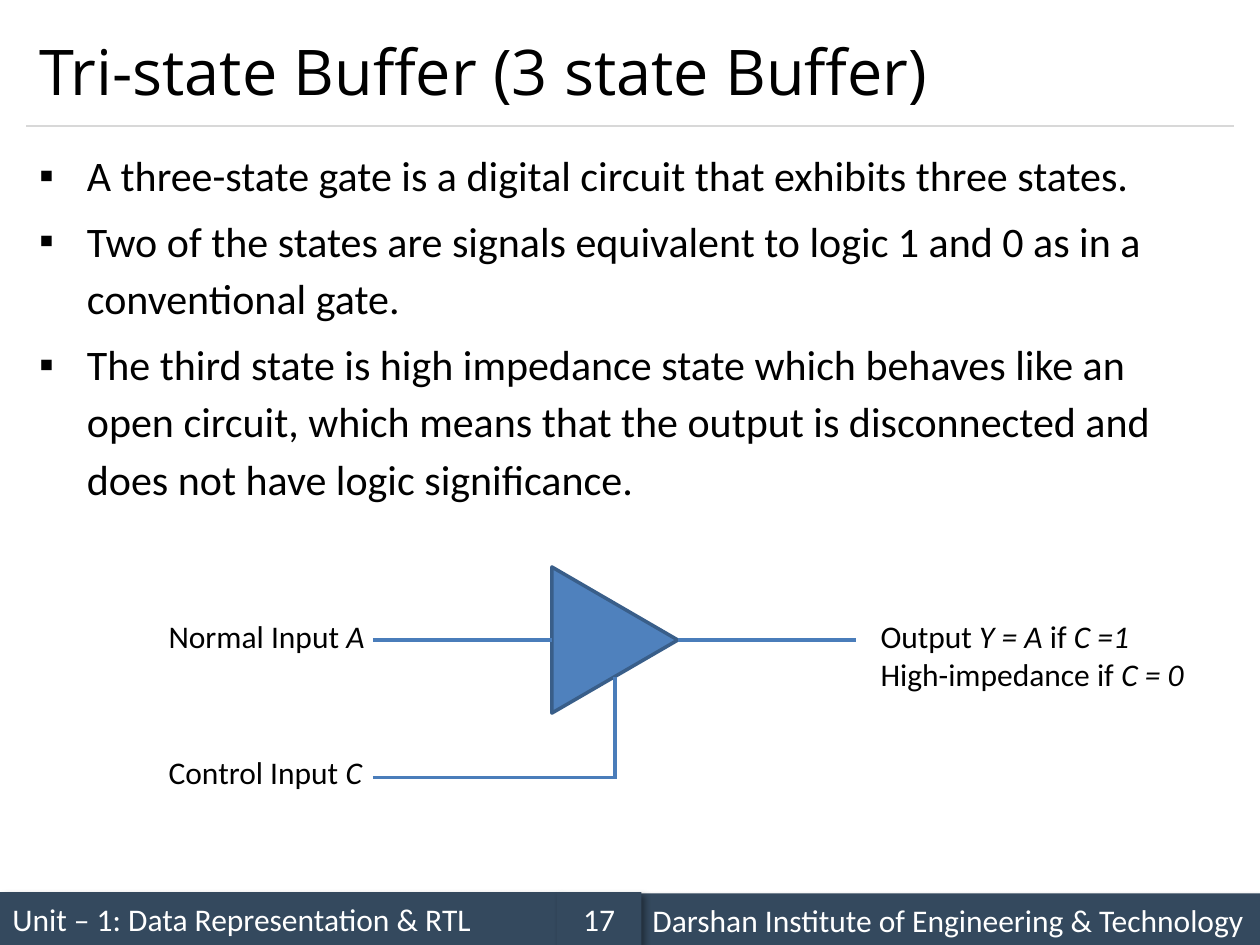
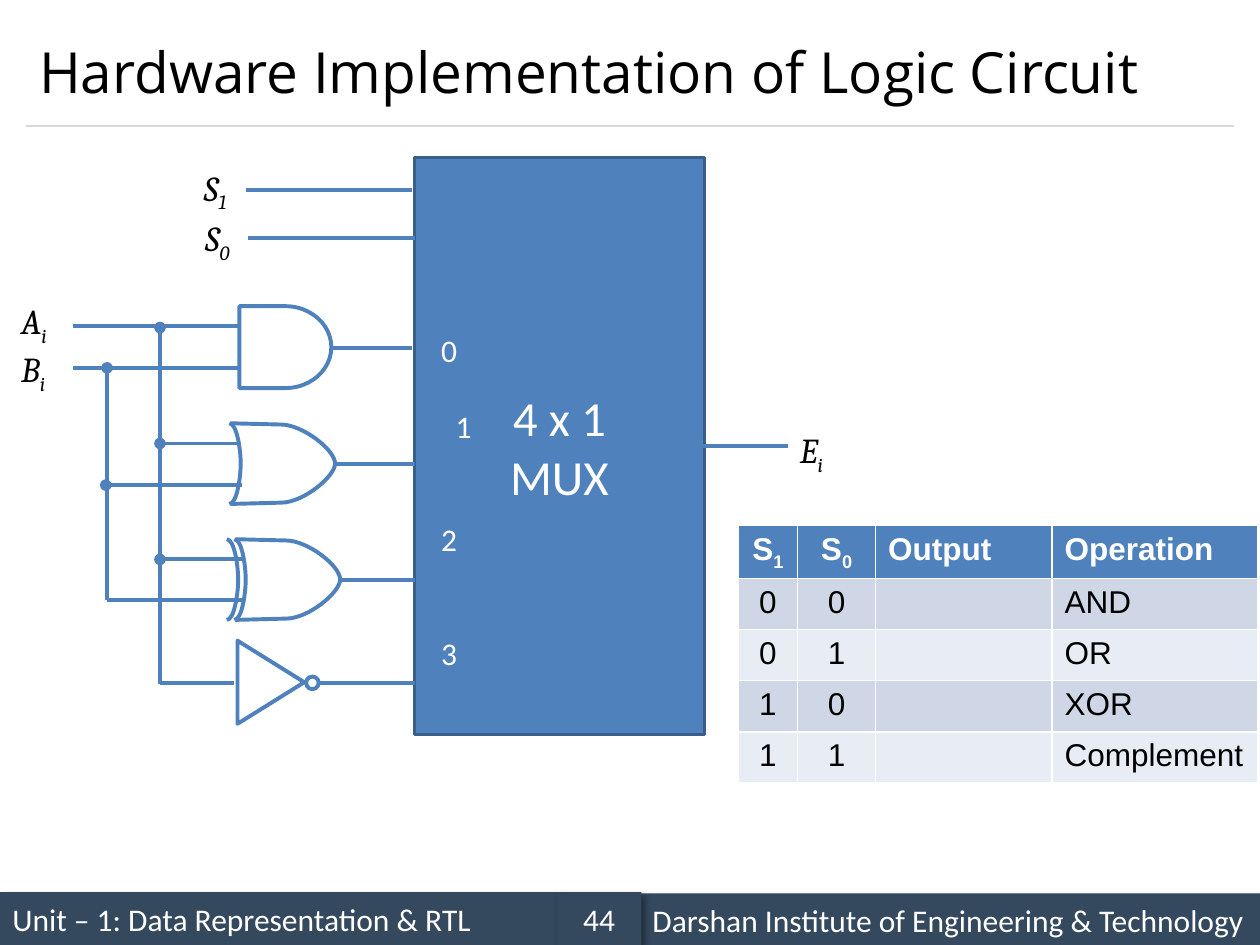
from dataclasses import dataclass

import pptx
import pptx.dml.color
import pptx.enum.shapes
import pptx.enum.text
import pptx.oxml
import pptx.oxml.ns
import pptx.util
from pptx.util import Inches

SHAPE = pptx.enum.shapes.MSO_SHAPE
ALIGN = pptx.enum.text.PP_ALIGN
ANCHOR = pptx.enum.text.MSO_ANCHOR
BLACK, WHITE, SLATE, RULE_GREY = "000000", "FFFFFF", "34495E", "D8D8D8"
BLUE, DARK_BLUE, WIRE_BLUE = "4F81BD", "395E89", "4A7DBA"
BANDS = ("E8ECF4", "CFD7E7")
GATE_WIDTH = 2.25


@dataclass(frozen=True)
class Run:
    text: str
    italic: bool = False
    subscript: bool = False


@dataclass(frozen=True)
class Font:
    name: str
    size: float
    color: str = BLACK
    bold: bool = False


@dataclass(frozen=True)
class Wire:
    """A line whose start may carry a junction dot."""
    start: tuple[float, float]
    end: tuple[float, float]
    dot: bool = False
    color: str = BLUE
    width: float = GATE_WIDTH


@dataclass(frozen=True)
class Label:
    box: tuple[float, float, float, float]
    lines: tuple[tuple[Run, ...], ...]


@dataclass(frozen=True)
class FooterPart:
    box: tuple[float, float, float, float]
    text: str
    align: ALIGN = ALIGN.LEFT


TEXT = Font("Calibri", 18)
LIGHT_TEXT = Font("Calibri", 18, WHITE)
SYMBOL = Font("Cambria", 20)


def rgb(color: str) -> pptx.dml.color.RGBColor:
    return pptx.dml.color.RGBColor.from_string(color)


def place(box: tuple[float, ...]) -> list[int]:
    return [Inches(value) for value in box]


def set_all(target, **values) -> None:
    for name, value in values.items():
        setattr(target, name, value)


def move(shape, box: tuple[float, ...]) -> None:
    set_all(shape, **dict(zip(("left", "top", "width", "height"), place(box))))


def sub(parent, tag: str, **attributes):
    """Append a DrawingML element to parent."""
    child = pptx.oxml.parse_xml(f"<a:{tag} {pptx.oxml.ns.nsdecls('a')}/>")
    for name, value in attributes.items():
        child.set(name, str(value))
    parent.append(child)
    return child


def write(paragraph, runs: tuple[Run, ...], font: Font, align=ALIGN.LEFT) -> None:
    paragraph.alignment = align
    for part in runs:
        run = paragraph.add_run()
        run.text = part.text
        set_all(run.font, name=font.name, size=pptx.util.Pt(font.size),
                bold=font.bold, italic=part.italic)
        run.font.color.rgb = rgb(font.color)
        if part.subscript:
            run.font._element.set("baseline", "-25000")


def write_lines(frame, lines, font: Font, align=ALIGN.LEFT, anchor=ANCHOR.TOP) -> None:
    set_all(frame, word_wrap=True, vertical_anchor=anchor,
            auto_size=pptx.enum.text.MSO_AUTO_SIZE.NONE)
    for index, runs in enumerate(lines):
        paragraph = frame.add_paragraph() if index else frame.paragraphs[0]
        write(paragraph, runs, font, align)


def style(shape, fill: str | None, line: str | None, width: float = 2) -> None:
    shape.shadow.inherit = False
    if fill:
        shape.fill.solid()
        shape.fill.fore_color.rgb = rgb(fill)
    else:
        shape.fill.background()
    if line:
        shape.line.color.rgb = rgb(line)
        shape.line.width = pptx.util.Pt(width)
    else:
        shape.line.fill.background()


def add_preset(slide, kind, box, fill=None, line=BLUE, width=GATE_WIDTH, rotation=0):
    shape = slide.shapes.add_shape(kind, *place(box))
    style(shape, fill, line, width)
    shape.rotation = rotation
    return shape


def add_wire(slide, wire: Wire):
    connector = slide.shapes.add_connector(
        pptx.enum.shapes.MSO_CONNECTOR.STRAIGHT, *place(wire.start + wire.end))
    connector.line.color.rgb = rgb(wire.color)
    connector.line.width = pptx.util.Pt(wire.width)
    if wire.dot:
        sub(connector.line._get_or_add_ln(), "headEnd", type="oval")
    sub(connector._element.spPr, "effectLst")
    return connector


def add_label(slide, label: Label, font: Font) -> None:
    frame = slide.shapes.add_textbox(*place(label.box)).text_frame
    frame.margin_right = 0
    write_lines(frame, label.lines, font)


# Each segment holds one point for a line, or two controls and an end for a curve.
GATE_BODY = (((0, 0),), ((.4, .01),), ((.57, .01), (.83, .21), (.83, .32)),
             ((.83, .42), (.58, .63), (.4, .63)), ((0, .64),))
GATE_BACK = (((0, .64),), ((.06, .64), (.09, .43), (.09, .32)),
             ((.09, .21), (.06, 0), (0, 0)))


def add_outline(slide, left: float, top: float, segments) -> None:
    """Draw an open outline, turning each three-point segment into a curve."""
    points = [place((left + x, top + y)) for segment in segments for x, y in segment]
    builder = slide.shapes.build_freeform(*points[0])
    builder.add_line_segments(points[1:], close=False)
    outline = builder.convert_to_shape()
    steps = iter(outline._element.findall(".//" + pptx.oxml.ns.qn("a:lnTo")))
    for segment in segments[1:]:
        lines = [next(steps) for _ in segment]
        if len(lines) == 3:
            curve = sub(lines[0].getparent(), "cubicBezTo")
            lines[0].addprevious(curve)
            for line in lines:
                curve.append(line[0])
                line.getparent().remove(line)
    style(outline, None, BLUE, GATE_WIDTH)


def add_or_gate(slide, left: float, top: float, exclusive: bool = False) -> None:
    add_outline(slide, left, top, GATE_BODY)
    for offset in (-.01, -.07)[:1 + exclusive]:
        add_outline(slide, left + offset, top, GATE_BACK)


def add_footer_part(slide, part: FooterPart):
    band = add_preset(slide, SHAPE.RECTANGLE, part.box, SLATE, None)
    effects = band._element.spPr.find(pptx.oxml.ns.qn("a:effectLst"))
    shadow = sub(effects, "outerShdw", blurRad=pptx.util.Pt(4), dist=pptx.util.Pt(3),
                 dir=45 * 60000, algn="tl", rotWithShape=0)
    sub(sub(shadow, "srgbClr", val=BLACK), "alpha", val=40000)
    write_lines(band.text_frame, [(Run(part.text),)], LIGHT_TEXT, part.align, ANCHOR.MIDDLE)
    return band


def furnish_master(deck, slide) -> None:
    """Build the shared rule and bands on a slide, then hand them to the master."""
    master = deck.slide_master
    move(master.placeholders[0], (.21, .12, 9.58, .88))
    for part in (
        add_footer_part(slide, FooterPart(
            (0, 7.08, 4.42, .42), "Unit – 1: Data Representation & RTL")),
        add_wire(slide, Wire((.21, 1), (9.79, 1), color=RULE_GREY, width=.75)),
        add_footer_part(slide, FooterPart(
            (5.08, 7.09, 4.92, .42), "Darshan Institute of Engineering & Technology")),
    ):
        master.shapes._spTree.append(part._element)


def start_slide(deck, layout: int, title: str, title_size: float, page: int):
    slide = deck.slides.add_slide(deck.slide_layouts[layout])
    if len(deck.slides) == 1:
        furnish_master(deck, slide)
    add_footer_part(slide, FooterPart((4.42, 7.08, .67, .42), str(page), ALIGN.CENTER))
    write_lines(slide.shapes.title.text_frame, [(Run(title),)],
                Font("Open Sans", title_size), anchor=ANCHOR.MIDDLE)
    return slide


def fill_bullets(body, points: list[str]) -> None:
    move(body, (.21, 1.08, 9.58, 3))
    write_lines(body.text_frame, [(Run(point),) for point in points], Font("Calibri", 24))
    for index, paragraph in enumerate(body.text_frame.paragraphs):
        properties = paragraph._p.get_or_add_pPr()
        properties.set("marL", str(Inches(.38)))
        properties.set("indent", str(Inches(-.38)))
        sub(sub(properties, "buClr"), "srgbClr", val=BLACK)
        sub(properties, "buFont", typeface="Arial")
        sub(properties, "buChar", char="▪")
        set_all(paragraph, line_spacing=1.14,
                space_before=pptx.util.Pt(4.8 if index else 0))


def build_buffer_slide(deck) -> None:
    slide = start_slide(deck, 1, "Tri-state Buffer (3 state Buffer)", 36, 17)
    fill_bullets(slide.placeholders[1], [
        "A three-state gate is a digital circuit that exhibits three states.",
        "Two of the states are signals equivalent to logic 1 and 0 as in a conventional gate.",
        "The third state is high impedance state which behaves like an open circuit, which "
        "means that the output is disconnected and does not have logic significance.",
    ])
    add_preset(slide, SHAPE.ISOSCELES_TRIANGLE, (4.3, 4.58, 1.16, 1), BLUE, DARK_BLUE, 2, 90)
    for start, end in (((2.96, 5.08), (4.38, 5.08)), ((5.38, 5.08), (6.79, 5.08)),
                       ((2.96, 6.17), (4.9, 6.17)), ((4.88, 5.37), (4.88, 6.17))):
        add_wire(slide, Wire(start, end, color=WIRE_BLUE, width=2))
    for label in (
        Label((1.24, 4.85, 1.77, .4), ((Run("Normal Input "), Run("A", True)),)),
        Label((1.24, 5.93, 1.77, .4), ((Run("Control Input "), Run("C", True)),)),
        Label((6.89, 4.85, 2.9, .71), (
            (Run("Output "), Run("Y = A", True), Run(" if "), Run("C =1", True)),
            (Run("High-impedance if "), Run("C = 0", True)))),
    ):
        add_label(slide, label, TEXT)


def add_mux(slide) -> None:
    mux = add_preset(slide, SHAPE.RECTANGLE, (3.29, 1.25, 2.3, 4.58), BLUE, DARK_BLUE, 2)
    write_lines(mux.text_frame, [(Run("4 x 1"),), (Run("MUX"),)],
                Font("Calibri", 28, WHITE), ALIGN.CENTER, ANCHOR.MIDDLE)
    inputs = slide.shapes.add_textbox(*place((3.29, 2.58, .55, 3.43))).text_frame
    write_lines(inputs, [(Run(str(number)),) for number in range(4)], LIGHT_TEXT, ALIGN.CENTER)
    for paragraph, skipped_lines in zip(inputs.paragraphs, (0, 1, 2, 2)):
        paragraph.space_before = pptx.util.Pt(21.6 * skipped_lines)
    inputs.paragraphs[1]._p.get_or_add_pPr().set("marL", str(Inches(.23)))


def add_gates(slide) -> None:
    add_preset(slide, SHAPE.FLOWCHART_DELAY, (1.9, 2.43, .73, .65))
    add_or_gate(slide, 1.83, 3.36)
    add_or_gate(slide, 1.87, 4.28, exclusive=True)
    add_preset(slide, SHAPE.ISOSCELES_TRIANGLE, (1.82, 5.15, .66, .53), rotation=90)
    add_preset(slide, SHAPE.OVAL, (2.43, 5.37, .1, .1))


def add_operation_table(slide) -> None:
    rows = [((Run("S"), Run("1", subscript=True)), (Run("S"), Run("0", subscript=True)),
             (Run("Output"),), (Run("Operation"),))]
    for code, operation in enumerate(("AND", "OR", "XOR", "Complement")):
        rows.append(((Run(str(code // 2)),), (Run(str(code % 2)),), (), (Run(operation),)))
    widths = (.47, .62, 1.4, 1.63)
    table = slide.shapes.add_table(
        len(rows), len(widths), *place((5.86, 4.17, sum(widths), 2.03))).table
    for column, width in zip(table.columns, widths):
        column.width = Inches(width)
    for r, row in enumerate(rows):
        font = Font("Arial", 18, BLACK if r else WHITE, bold=not r)
        for c, runs in enumerate(row):
            cell = table.cell(r, c)
            for side in "LRTB":
                border = sub(cell._tc.get_or_add_tcPr(), f"ln{side}", w=pptx.util.Pt(1))
                sub(sub(border, "solidFill"), "srgbClr", val=WHITE)
            cell.fill.solid()
            cell.fill.fore_color.rgb = rgb(BANDS[r % 2] if r else BLUE)
            write(cell.text_frame.paragraphs[0], runs, font,
                  ALIGN.CENTER if c < 2 else ALIGN.LEFT)


def build_logic_slide(deck) -> None:
    slide = start_slide(deck, 5, "Hardware Implementation of Logic Circuit", 32.4, 44)
    add_mux(slide)
    add_gates(slide)
    a_bus, b_bus, mux_left = 1.27, .85, 3.29
    for wire in (
        Wire((.58, 2.59), (1.9, 2.59)), Wire((.58, 2.92), (1.9, 2.92)),
        Wire((a_bus, 2.6), (a_bus, 5.43), True), Wire((b_bus, 2.92), (b_bus, 4.76), True),
        Wire((a_bus, 3.52), (1.9, 3.52), True), Wire((.84, 3.85), (1.92, 3.85), True),
        Wire((a_bus, 4.44), (1.94, 4.44), True), Wire((b_bus, 4.76), (1.94, 4.76)),
        Wire((a_bus, 5.42), (1.86, 5.42)),
        Wire((2.63, 2.76), (3.27, 2.76)), Wire((2.66, 3.68), (mux_left, 3.68)),
        Wire((2.7, 4.6), (mux_left, 4.6)), Wire((2.53, 5.42), (mux_left, 5.42)),
        Wire((1.95, 1.51), (3.27, 1.51)), Wire((1.97, 1.89), (mux_left, 1.89)),
        Wire((5.58, 3.54), (6.25, 3.54)),
    ):
        add_wire(slide, wire)
    for letter, index, left, top in (("A", "i", .07, 2.33), ("B", "i", .07, 2.71),
                                     ("S", "1", 1.52, 1.27), ("S", "0", 1.53, 1.67),
                                     ("E", "i", 6.25, 3.35)):
        signal = (Run(letter, True), Run(index, True, True))
        add_label(slide, Label((left, top, .44, .44), (signal,)), SYMBOL)
    add_operation_table(slide)


def main() -> None:
    deck = pptx.Presentation()
    set_all(deck, slide_width=Inches(10), slide_height=Inches(7.5))
    build_buffer_slide(deck)
    build_logic_slide(deck)
    deck.save("out.pptx")


if __name__ == "__main__":
    main()
